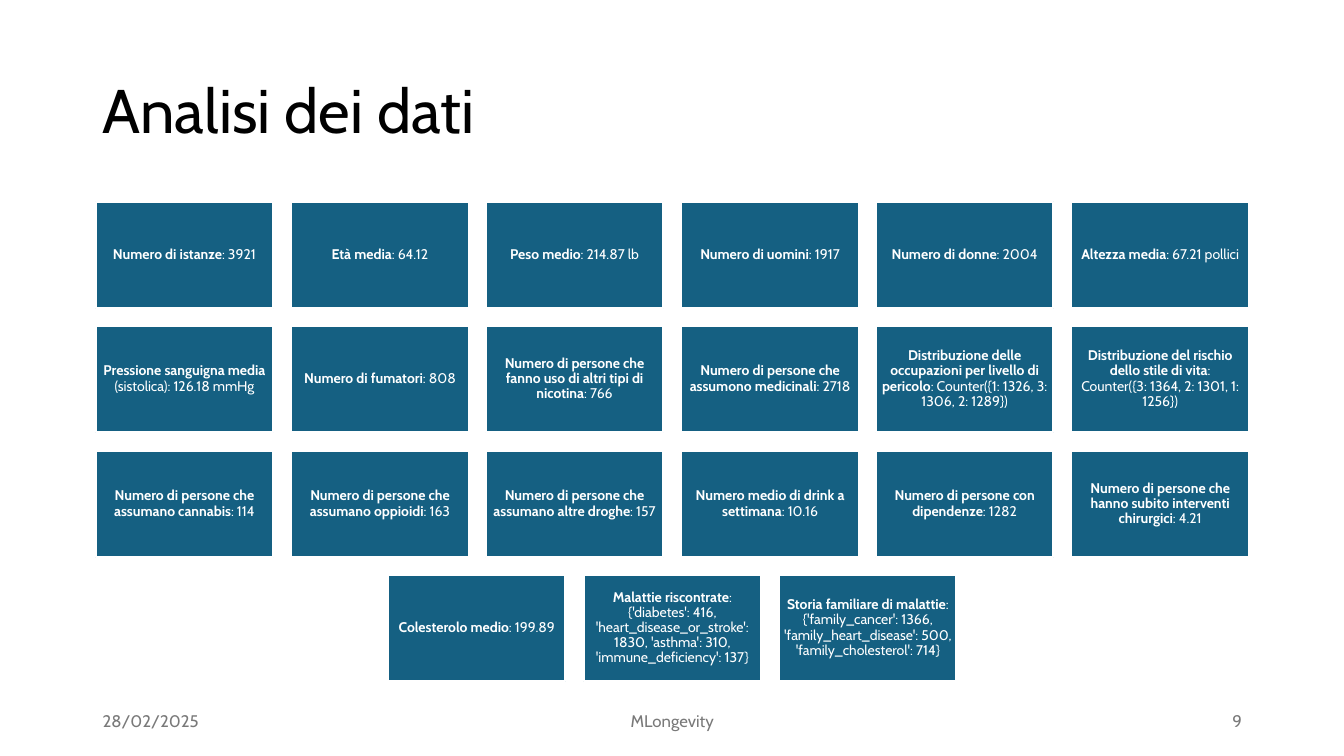
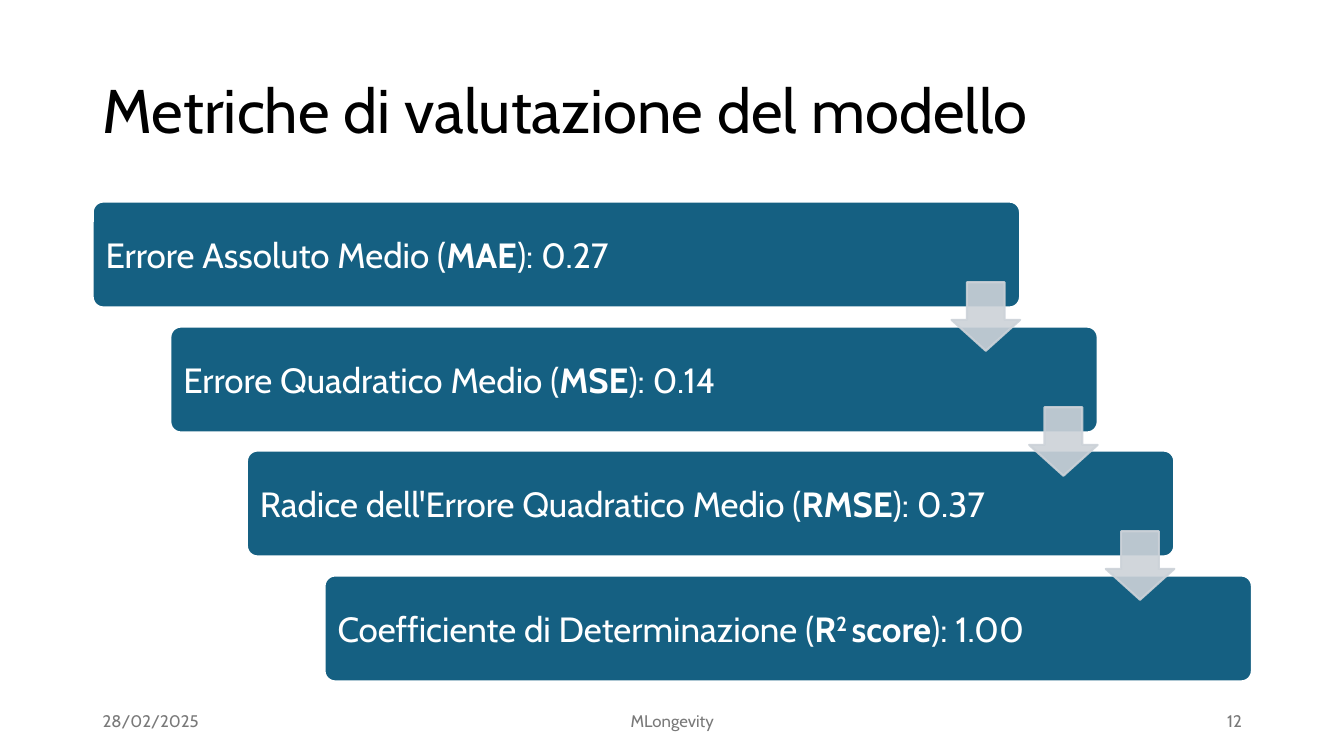
from dataclasses import dataclass
from typing import NamedTuple

from lxml.etree import SubElement
from pptx import Presentation
from pptx.dml.color import RGBColor
from pptx.enum.shapes import MSO_SHAPE
from pptx.enum.text import MSO_ANCHOR, PP_ALIGN
from pptx.oxml.ns import qn
from pptx.presentation import Presentation as Deck
from pptx.shapes.autoshape import Shape
from pptx.slide import Slide
from pptx.util import Emu, Pt

EMU_PER_PX = 9144
FONT = "Cabin"
BLACK = RGBColor(0x00, 0x00, 0x00)
WHITE = RGBColor(0xFF, 0xFF, 0xFF)
TEAL = RGBColor(0x15, 0x60, 0x82)
SILVER = RGBColor(0xCC, 0xD2, 0xD8)
GRAY = RGBColor(0x79, 0x79, 0x79)

COLUMNS = 6
ROWS = 4
TILE_WIDTH = 176
TILE_HEIGHT = 106
GRID_LEFT = 95
GRID_TOP = 200
GRID_WIDTH = 1144
GRID_HEIGHT = 476

BAR_WIDTH = 920
BAR_HEIGHT = 105
STAIR_LEFT = 92
STAIR_TOP = 200
STAIR_WIDTH = 1150
STAIR_HEIGHT = 476
ARROW_SIZE = 68
ARROW_DROP = 80


class Area(NamedTuple):
    left: int
    top: int
    width: int
    height: int


class Span(NamedTuple):
    text: str
    bold: bool = False
    raised: bool = False


@dataclass(frozen=True)
class Fact:
    label: str
    value: str


@dataclass(frozen=True)
class Metric:
    name: str
    symbol: tuple[Span, ...]
    value: str


@dataclass(frozen=True)
class FooterPart:
    text: str
    area: Area
    align: PP_ALIGN


TITLE_AREA = Area(92, 40, 1150, 145)

FACTS = (
    Fact("Numero di istanze", ": 3921"),
    Fact("Età media", ": 64.12"),
    Fact("Peso medio", ": 214.87 lb"),
    Fact("Numero di uomini", ": 1917"),
    Fact("Numero di donne", ": 2004"),
    Fact("Altezza media", ": 67.21 pollici"),
    Fact("Pressione sanguigna media ", "(sistolica): 126.18 mmHg"),
    Fact("Numero di fumatori", ": 808"),
    Fact("Numero di persone che fanno uso di altri tipi di nicotina", ": 766"),
    Fact("Numero di persone che assumono medicinali", ": 2718"),
    Fact(
        "Distribuzione delle occupazioni per livello di pericolo",
        ": Counter({1: 1326, 3: 1306, 2: 1289})",
    ),
    Fact(
        "Distribuzione del rischio dello stile di vita",
        ": Counter({3: 1364, 2: 1301, 1: 1256})",
    ),
    Fact("Numero di persone che assumano cannabis", ": 114"),
    Fact("Numero di persone che assumano oppioidi", ": 163"),
    Fact("Numero di persone che assumano altre droghe", ": 157"),
    Fact("Numero medio di drink a settimana", ": 10.16"),
    Fact("Numero di persone con dipendenze", ": 1282"),
    Fact("Numero di persone che hanno subito interventi chirurgici", ": 4.21"),
    Fact("Colesterolo medio", ": 199.89"),
    Fact(
        "Malattie riscontrate",
        ": {'diabetes': 416, 'heart_disease_or_stroke': 1830, "
        "'asthma': 310, 'immune_deficiency': 137}",
    ),
    Fact(
        "Storia familiare di malattie",
        ": {'family_cancer': 1366, 'family_heart_disease': 500, "
        "'family_cholesterol': 714}",
    ),
)

METRICS = (
    Metric("Errore Assoluto Medio", (Span("MAE", bold=True),), "0.27"),
    Metric("Errore Quadratico Medio", (Span("MSE", bold=True),), "0.14"),
    Metric("Radice dell'Errore Quadratico Medio", (Span("RMSE", bold=True),), "0.37"),
    Metric(
        "Coefficiente di Determinazione",
        (
            Span("R", bold=True),
            Span("2 ", bold=True, raised=True),
            Span("score", bold=True),
        ),
        "1.00",
    ),
)


def px(length: int) -> Emu:
    return Emu(length * EMU_PER_PX)


def place(area: Area) -> tuple[Emu, ...]:
    return tuple(px(length) for length in area)


def write_text(
    box: Shape,
    *spans: Span,
    size: int,
    color: RGBColor,
    align: PP_ALIGN = PP_ALIGN.LEFT,
    line_spacing: float = 1.0,
    side_inset: int = 10,
    end_inset: int = 5,
) -> None:
    frame = box.text_frame
    frame.word_wrap = True
    frame.vertical_anchor = MSO_ANCHOR.MIDDLE
    frame.margin_left = frame.margin_right = px(side_inset)
    frame.margin_top = frame.margin_bottom = px(end_inset)
    para = frame.paragraphs[0]
    para.alignment = align
    para.line_spacing = line_spacing
    for span in spans:
        run = para.add_run()
        run.text = span.text
        run.font.name = FONT
        run.font.size = Pt(size)
        run.font.bold = span.bold
        run.font.color.rgb = color
        if span.raised:
            run._r.get_or_add_rPr().set("baseline", "30000")


def add_block(
    page: Slide, kind: MSO_SHAPE, area: Area, fill: RGBColor, line: RGBColor
) -> Shape:
    block = page.shapes.add_shape(kind, *place(area))
    block.shadow.inherit = False
    block.fill.solid()
    block.fill.fore_color.rgb = fill
    block.line.color.rgb = line
    block.line.width = Pt(1.5)
    return block


def add_page(deck: Deck, title: str, number: int) -> Slide:
    page = deck.slides.add_slide(deck.slide_layouts[6])
    heading = page.shapes.add_textbox(*place(TITLE_AREA))
    write_text(heading, Span(title), size=44, color=BLACK, line_spacing=0.9)
    footer = (
        FooterPart("28/02/2025", Area(92, 695, 300, 40), PP_ALIGN.LEFT),
        FooterPart("MLongevity", Area(442, 695, 450, 40), PP_ALIGN.CENTER),
        FooterPart(str(number), Area(942, 695, 300, 40), PP_ALIGN.RIGHT),
    )
    for part in footer:
        box = page.shapes.add_textbox(*place(part.area))
        write_text(box, Span(part.text), size=12, color=GRAY, align=part.align)
    return page


def add_fact_grid(page: Slide) -> None:
    column_step = (GRID_WIDTH - TILE_WIDTH) / (COLUMNS - 1)
    row_step = (GRID_HEIGHT - TILE_HEIGHT) / (ROWS - 1)
    for row in range(ROWS):
        facts = FACTS[row * COLUMNS:(row + 1) * COLUMNS]
        indent = (COLUMNS - len(facts)) * column_step / 2
        for column, fact in enumerate(facts):
            area = Area(
                round(GRID_LEFT + indent + column * column_step),
                round(GRID_TOP + row * row_step),
                TILE_WIDTH,
                TILE_HEIGHT,
            )
            tile = add_block(page, MSO_SHAPE.RECTANGLE, area, TEAL, WHITE)
            write_text(
                tile,
                Span(fact.label, bold=True),
                Span(fact.value),
                size=10,
                color=WHITE,
                align=PP_ALIGN.CENTER,
                line_spacing=0.9,
                side_inset=4,
                end_inset=4,
            )


def add_arrow(page: Slide, bar: Area) -> None:
    area = Area(
        bar.left + bar.width - ARROW_SIZE, bar.top + ARROW_DROP, ARROW_SIZE, ARROW_SIZE
    )
    arrow = add_block(page, MSO_SHAPE.DOWN_ARROW, area, SILVER, SILVER)
    arrow.adjustments[0] = 0.55
    arrow.adjustments[1] = 0.45
    for color in arrow._element.spPr.iter(qn("a:srgbClr")):
        SubElement(color, qn("a:alpha")).set("val", "90000")


def add_metric_stair(page: Slide) -> None:
    steps = len(METRICS) - 1
    areas = [
        Area(
            round(STAIR_LEFT + index * (STAIR_WIDTH - BAR_WIDTH) / steps),
            round(STAIR_TOP + index * (STAIR_HEIGHT - BAR_HEIGHT) / steps),
            BAR_WIDTH,
            BAR_HEIGHT,
        )
        for index in range(len(METRICS))
    ]
    for metric, area in zip(METRICS, areas):
        bar = add_block(page, MSO_SHAPE.ROUNDED_RECTANGLE, area, TEAL, WHITE)
        bar.adjustments[0] = 0.1
        write_text(
            bar,
            Span(f"{metric.name} ("),
            *metric.symbol,
            Span(f"): {metric.value}"),
            size=25,
            color=WHITE,
            side_inset=10,
            end_inset=10,
        )
    for area in areas[:-1]:
        add_arrow(page, area)


def main() -> None:
    deck = Presentation()
    deck.slide_width = Emu(12192000)
    deck.slide_height = px(750)
    add_fact_grid(add_page(deck, "Analisi dei dati", 9))
    add_metric_stair(add_page(deck, "Metriche di valutazione del modello", 12))
    deck.save("out.pptx")


if __name__ == "__main__":
    main()
